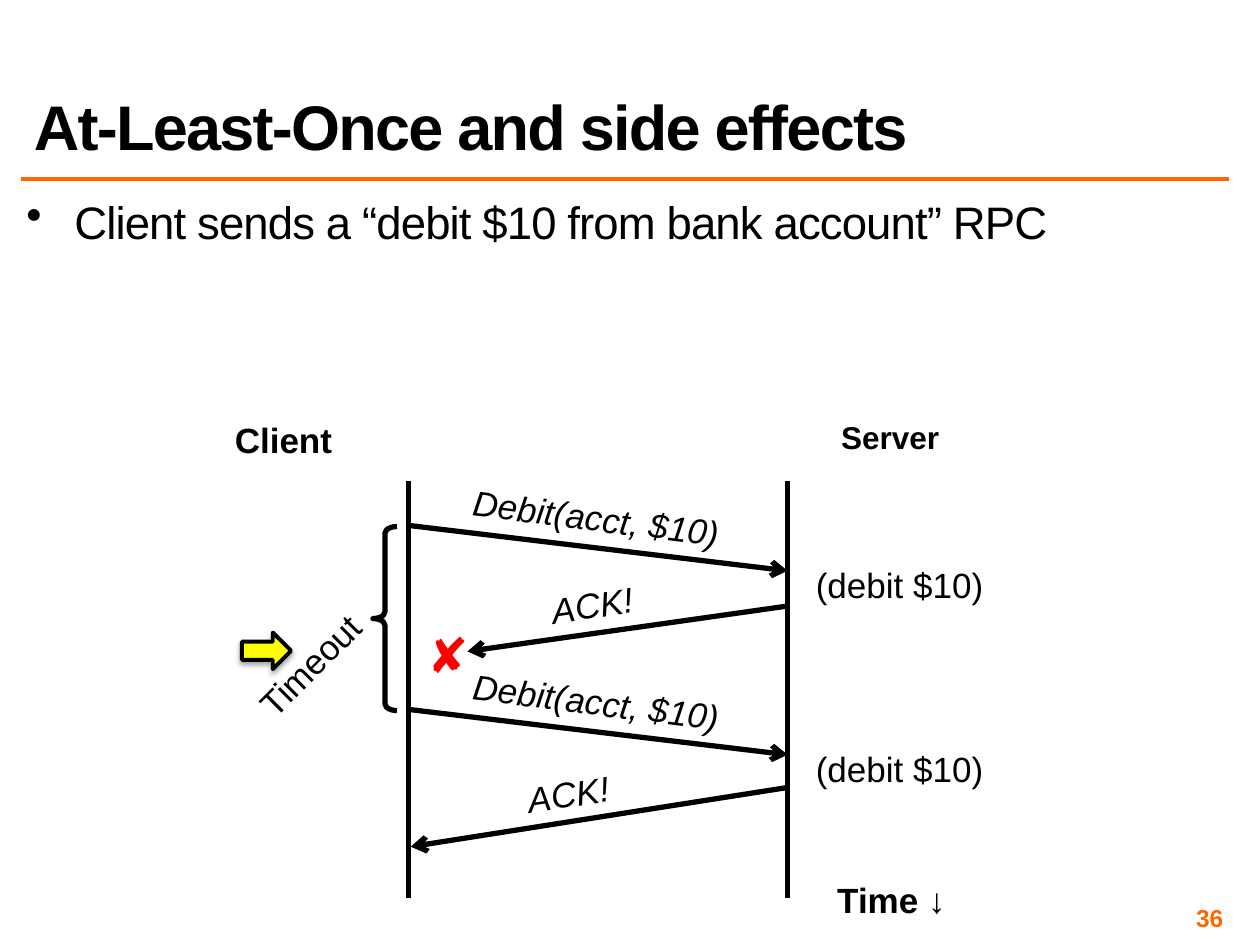
from dataclasses import dataclass

from lxml import etree
from pptx import Presentation
from pptx.dml.color import RGBColor
from pptx.enum.shapes import MSO_CONNECTOR, MSO_SHAPE
from pptx.enum.text import MSO_ANCHOR, PP_ALIGN
from pptx.oxml import parse_xml
from pptx.oxml.ns import nsdecls, qn
from pptx.util import Inches, Pt

STRAIGHT = MSO_CONNECTOR.STRAIGHT
LEFT_BRACE, RIGHT_ARROW = MSO_SHAPE.LEFT_BRACE, MSO_SHAPE.RIGHT_ARROW
LEFT, CENTER, RIGHT = PP_ALIGN.LEFT, PP_ALIGN.CENTER, PP_ALIGN.RIGHT
TOP, MIDDLE, BOTTOM = MSO_ANCHOR.TOP, MSO_ANCHOR.MIDDLE, MSO_ANCHOR.BOTTOM


@dataclass(frozen=True)
class Theme:
    font: str = "Arial"
    ink: str = "000000"
    accent: str = "FF6600"
    lost: str = "FF0000"
    pointer: str = "FFFF00"
    title_size: int = 36
    cross_size: int = 28
    body_size: int = 26
    label_size: int = 20
    server_size: int = 18
    number_size: int = 14
    line_width: float = 3
    pointer_width: float = 2.25
    rule_width: float = 2


THEME = Theme()


def add_text(slide, box, text, size=THEME.label_size, color=THEME.ink, align=CENTER,
             anchor=TOP, margins=(0.1, 0.05), wrap=False, rotation=0, spacing=None,
             line_spacing=None, bullet_indent=None, **font_format):
    """Add a one-paragraph text box; box is left, top, width, height in inches."""
    shape = slide.shapes.add_textbox(*map(Inches, box))
    shape.rotation = rotation
    frame = shape.text_frame
    frame_format = {
        "word_wrap": wrap, "vertical_anchor": anchor,
        "margin_left": Inches(margins[0]), "margin_right": Inches(margins[0]),
        "margin_top": Inches(margins[1]), "margin_bottom": Inches(margins[1]),
    }
    for name, value in frame_format.items():
        setattr(frame, name, value)
    paragraph = frame.paragraphs[0]
    paragraph.alignment = align
    if line_spacing:
        paragraph.line_spacing = line_spacing
    if bullet_indent:
        properties = paragraph._p.get_or_add_pPr()
        properties.set("marL", str(Inches(bullet_indent)))
        properties.set("indent", str(-Inches(bullet_indent)))
        etree.SubElement(properties, qn("a:buChar")).set("char", "•")
    run = paragraph.add_run()
    run.text = text
    font_format.update(name=THEME.font, size=Pt(size))
    for name, value in font_format.items():
        setattr(run.font, name, value)
    run.font.color.rgb = RGBColor.from_string(color)
    if spacing:
        run._r.get_or_add_rPr().set("spc", str(int(spacing * 100)))


def add_line(slide, start, end, color=THEME.ink, width=THEME.line_width, arrow=False):
    """Draw a straight line between two points in inches."""
    line = slide.shapes.add_connector(STRAIGHT, *map(Inches, (*start, *end)))
    line.line.color.rgb = RGBColor.from_string(color)
    line.line.width = Pt(width)
    if arrow:
        etree.SubElement(line.line._get_or_add_ln(), qn("a:tailEnd")).set("type", "arrow")
    etree.SubElement(line._element.spPr, qn("a:effectLst"))


def add_outline(slide, kind, box, width):
    """Add an unfilled preset shape with an ink outline."""
    shape = slide.shapes.add_shape(kind, *map(Inches, box))
    shape.shadow.inherit = False
    shape.fill.background()
    shape.line.color.rgb = RGBColor.from_string(THEME.ink)
    shape.line.width = Pt(width)
    return shape


def add_header(slide, left, top, width):
    """Title, rule and opening bullet."""
    add_text(slide, (left, top, width, 1.17), "At-Least-Once and side effects",
             size=THEME.title_size, align=LEFT, anchor=BOTTOM, wrap=True,
             spacing=-1, line_spacing=0.8, bold=True)
    rule = top + 1.25
    add_line(slide, (left, rule), (left + width, rule), THEME.accent, THEME.rule_width)
    add_text(slide, (left, top + 1.41, width, 1.09),
             "Client sends a “debit $10 from bank account” RPC",
             size=THEME.body_size, align=LEFT, margins=(0.04, 0.04), wrap=True,
             spacing=-0.5, line_spacing=0.8, bullet_indent=0.38)


def add_lifelines(slide, left, top, width, height):
    """Client and server lines with their names and the time direction."""
    for x in (left, left + width):
        add_line(slide, (x, top), (x, top + height))
    name_style = {"anchor": MIDDLE, "margins": (0, 0), "bold": True}
    add_text(slide, (left - 1.38, top - 0.5, 0.78, 0.34), "Client", **name_style)
    add_text(slide, (left + width + 0.33, top - 0.5, 0.97, 0.3), "Server",
             size=THEME.server_size, **name_style)
    add_text(slide, (left + width + 0.29, top + height - 0.21, 1.07, 0.44),
             "Time ↓", bold=True)


def add_round_trip(slide, left, top, width, ack_start, ack_end, ack_label):
    """One request, its effect on the server and its ACK.

    The ACK points are relative to left and top, as is the corner of its label.
    """
    right = left + width
    add_line(slide, (left, top), (right, top + 0.36), arrow=True)
    add_text(slide, (left + 0.4, top - 0.28, 2.18, 0.44), "Debit(acct, $10)",
             rotation=7.3, italic=True)
    add_text(slide, (right + 0.12, top + 0.25, 1.54, 0.44), "(debit $10)")
    start, end, label = ((left + x, top + y) for x, y in (ack_start, ack_end, ack_label))
    add_line(slide, start, end, arrow=True)
    add_text(slide, (*label, 0.86, 0.44), "ACK!", rotation=351.4, italic=True)


def add_timeout(slide, left, top, height):
    """Brace over the waiting time, with its label and the current-step pointer."""
    brace = add_outline(slide, LEFT_BRACE, (left, top, 0.19, height), THEME.line_width)
    brace.adjustments[0] = 0.277
    add_text(slide, (left - 1.1, top + 0.88, 1.2, 0.44), "Timeout", rotation=315)
    pointer = add_outline(slide, RIGHT_ARROW, (left - 1.04, top + 0.84, 0.39, 0.29),
                          THEME.pointer_width)
    pointer.fill.solid()
    pointer.fill.fore_color.rgb = RGBColor.from_string(THEME.pointer)
    effects = pointer._element.spPr.find(qn("a:effectLst"))
    effects.append(parse_xml(
        f'<a:outerShdw {nsdecls("a")} blurRad="{Pt(3.1)}" dist="{Pt(1.8)}" dir="5400000" '
        f'rotWithShape="0"><a:srgbClr val="{THEME.ink}"><a:alpha val="35000"/>'
        '</a:srgbClr></a:outerShdw>'))


def add_sequence(slide, left, top, width, height):
    """Message diagram: a lost ACK, a timeout and a repeated debit."""
    first, period = top + 0.35, 1.46
    add_lifelines(slide, left, top, width, height)
    add_round_trip(slide, left, first, width, (width, 0.64), (0.47, 1), (1.03, 0.41))
    add_text(slide, (left + 0.02, first + 0.74, 0.59, 0.57), "✘",
             size=THEME.cross_size, color=THEME.lost)
    add_round_trip(slide, left, first + period, width,
                   (width, 0.62), (0.02, 1.09), (0.84, 0.45))
    add_timeout(slide, left - 0.28, first + 0.01, period)


def add_page_number(slide, left, top, width, height):
    add_text(slide, (left, top, width, height), "36", size=THEME.number_size,
             color=THEME.accent, align=RIGHT, anchor=MIDDLE, margins=(0.04, 0.04),
             wrap=True, bold=True)


def main():
    presentation = Presentation()
    presentation.slide_width, presentation.slide_height = Inches(10), Inches(7.5)
    slide = presentation.slides.add_slide(presentation.slide_layouts[6])
    add_header(slide, 0.17, 0.17, 9.58)
    add_sequence(slide, 3.24, 3.82, 3.01, 3.31)
    add_page_number(slide, 7.42, 7.17, 2.33, 0.23)
    presentation.save("out.pptx")


if __name__ == "__main__":
    main()
